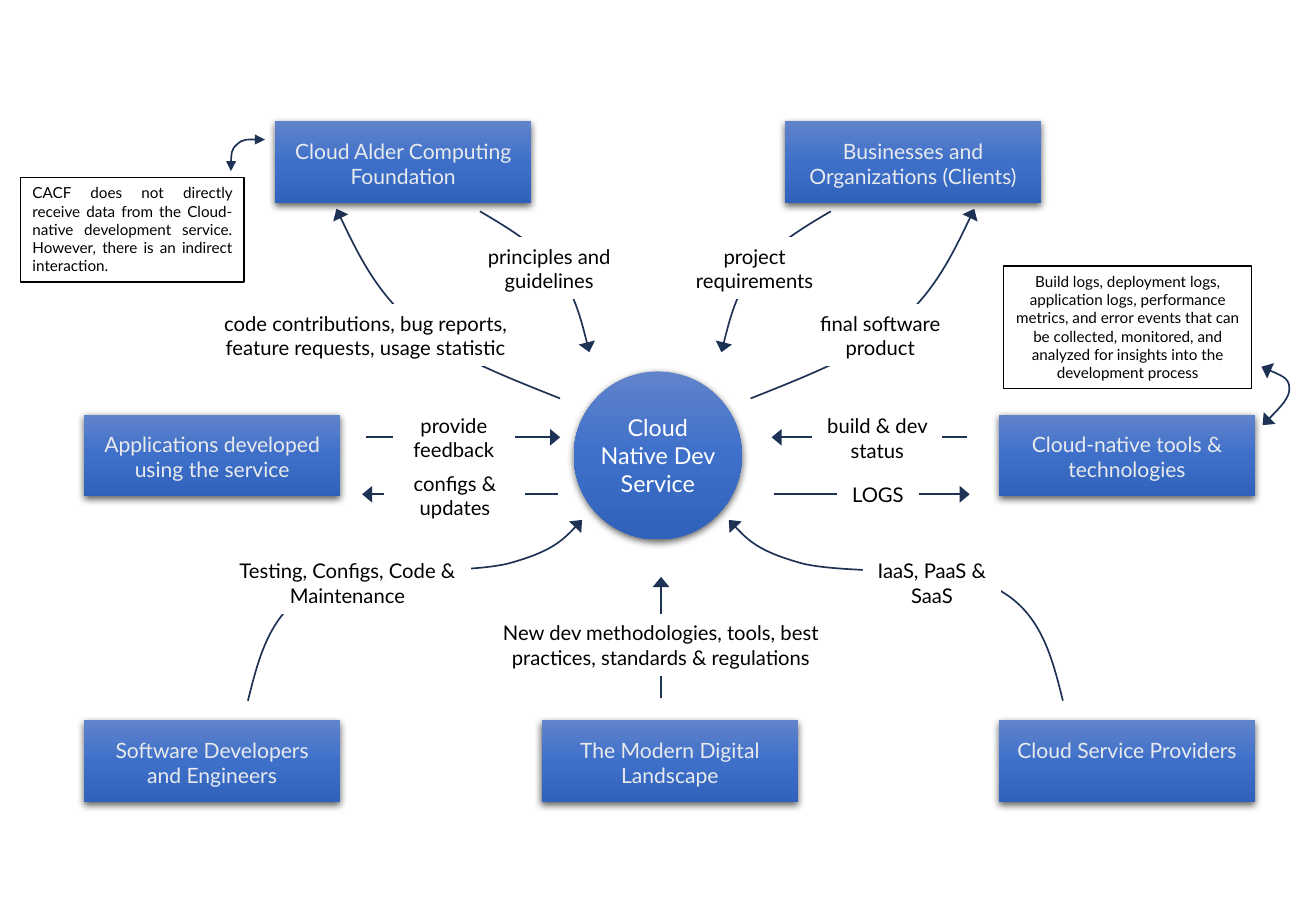
from copy import deepcopy

from lxml import etree
from pptx import Presentation
from pptx.dml.color import RGBColor
from pptx.enum.shapes import MSO_CONNECTOR, MSO_SHAPE
from pptx.enum.text import MSO_ANCHOR, PP_ALIGN
from pptx.oxml.ns import qn
from pptx.util import Pt

RECTANGLE, OVAL = MSO_SHAPE.RECTANGLE, MSO_SHAPE.OVAL
STRAIGHT = MSO_CONNECTOR.STRAIGHT
TOP, MIDDLE = MSO_ANCHOR.TOP, MSO_ANCHOR.MIDDLE
CENTER, JUSTIFY = PP_ALIGN.CENTER, PP_ALIGN.JUSTIFY

FONT = "Lato"
NAVY, BLACK, WHITE, PALE = "1E3256", "000000", "FFFFFF", "E8EAEC"
GRADIENT = ("6183CB", "3E70CA", "3062BB")

SLIDE_WIDTH, SLIDE_HEIGHT = 779.76, 540
MIRROR_SUM = 776.7
ACTOR_WIDTH, ACTOR_HEIGHT = 152, 48.5
LEFT, CENTRE, RIGHT = 49.7, 320.9, 591.8
UPPER, MIDDLE_ROW, LOWER = 72, 245.8, 427
LABEL_HEIGHT = 36

HUB = ("Cloud Native Dev Service", 340, 220.2, 99.6, 99.6)

ACTORS = [
    ("Cloud Alder Computing Foundation", 162.9, UPPER),
    ("Businesses and Organizations (Clients)", 465, UPPER),
    ("Applications developed using the service", LEFT, MIDDLE_ROW),
    ("Cloud-native tools & technologies", RIGHT, MIDDLE_ROW),
    ("Software Developers and Engineers", LEFT, LOWER),
    ("The Modern Digital Landscape", CENTRE, LOWER),
    ("Cloud Service Providers", RIGHT, LOWER),
]

MIRRORED_CURVES = [
    [(331.9, 236.2), (299.5, 223.2), (267.1, 211), (245.5, 192.2),
     (223.2, 173.5), (211, 148.3), (199.4, 123.8)],
    [(284.4, 125.3), (301.7, 135.4), (319, 146.2), (329.8, 159.8),
     (340.6, 174.2), (344.9, 191.5), (349.2, 208.8)],
    [(146.9, 415.4), (153.4, 389.5), (159.8, 362.9), (185.8, 349.2),
     (211.7, 335.5), (274.3, 340.6), (301, 334.1), (327.6, 326.9),
     (336.2, 317.5), (344.9, 308.2)],
]

NOTE_CURVES = [
    ([(136.8, 101.5), (136.8, 95), (136.8, 88.6), (140.4, 85.7),
      (144, 82.1), (150.5, 82.8), (157, 82.8)], "med"),
    ([(747.4, 217.4), (755.3, 221), (763.9, 223.9), (763.9, 229.7),
      (764.6, 235.4), (756.7, 243.4), (748.1, 252)], "lg"),
]

STRAIGHT_ARROWS = [
    (216.7, 259.2, 331.9, 259.2),
    (330.5, 293, 214.6, 293),
    (573.1, 259.2, 457.2, 259.2),
    (458.6, 293, 574.6, 293),
    (391.7, 414, 391.7, 342),
]

LABELS = [
    ("code contributions, bug reports, feature requests, usage statistic", 108, 180.7, 217.4),
    ("principles and guidelines", 259.2, 141.1, 132.5),
    ("final software product", 465.1, 180.7, 113),
    ("project requirements", 401.8, 141.1, 90.7),
    ("provide feedback", 233.3, 241.5, 71.3),
    ("configs & updates", 228.2, 275.8, 82.8),
    ("build & dev status", 481.7, 241.6, 76.3),
    ("LOGS", 496.1, 282.2, 48.2),
    ("New dev methodologies, tools, best practices, standards & regulations", 281.5, 364.3, 220.3),
    ("IaaS, PaaS & SaaS", 511.9, 327.6, 80.6),
    ("Testing, Configs, Code & Maintenance", 133.2, 327.6, 145.4),
]

NOTES = [
    ("CACF does not directly receive data from the Cloud-native development service. "
     "However, there is an indirect interaction.", 12.2, 105.3, 132.5, 61.9, JUSTIFY),
    ("Build logs, deployment logs, application logs, performance metrics, and error events "
     "that can be collected, monitored, and analyzed for insights into the development process",
     594.7, 157.7, 146.9, 72.7, CENTER),
]


def color(value):
    return RGBColor.from_string(value)


def add_box(page, kind, text, left, top, width, height, size, ink,
            align=CENTER, anchor=TOP, insets=(7.2, 3.6)):
    box = page.shapes.add_shape(kind, Pt(left), Pt(top), Pt(width), Pt(height))
    box.shadow.inherit = False
    frame = box.text_frame
    frame.text = text
    frame.word_wrap = True
    frame.vertical_anchor = anchor
    frame.margin_left = frame.margin_right = Pt(insets[0])
    frame.margin_top = frame.margin_bottom = Pt(insets[1])
    para = frame.paragraphs[0]
    para.alignment = align
    font = para.runs[0].font
    font.name, font.size = FONT, Pt(size)
    font.color.rgb = color(ink)
    return box


def outline(box, ink):
    box.line.color.rgb = color(ink)
    box.line.width = Pt(0.75)


def add_gloss(box):
    box.line.fill.background()
    box.fill.gradient()
    box.fill.gradient_angle = 270
    first = box.element.spPr.find(".//" + qn("a:gs"))
    first.addnext(deepcopy(first))
    for stop, position, tint in zip(box.fill.gradient_stops, (0, 0.5, 1), GRADIENT):
        stop.position = position
        stop.color.rgb = color(tint)
    effects = box.element.spPr.find(qn("a:effectLst"))
    shadow = etree.SubElement(effects, qn("a:outerShdw"), blurRad=str(Pt(4.5)),
                              dist=str(Pt(1.5)), dir="5400000", rotWithShape="0")
    shade = etree.SubElement(shadow, qn("a:srgbClr"), val=BLACK)
    etree.SubElement(shade, qn("a:alpha"), val="63000")


def style_arrow(arrow, ends=("tailEnd",), head_width="lg"):
    arrow.line.color.rgb = color(NAVY)
    arrow.line.width = Pt(1)
    properties = arrow.element.spPr
    for end in ends:
        etree.SubElement(properties.find(qn("a:ln")), qn("a:" + end),
                         type="triangle", w=head_width)
    if properties.find(qn("a:effectLst")) is None:
        etree.SubElement(properties, qn("a:effectLst"))


def add_curve(page, points):
    spots = [(Pt(x), Pt(y)) for x, y in points]
    builder = page.shapes.build_freeform(*spots[0])
    builder.add_line_segments(spots[1:], close=False)
    curve = builder.convert_to_shape()
    curve.fill.background()
    curve.shadow.inherit = False
    steps = list(curve.element.iter(qn("a:lnTo")))
    for start in range(0, len(steps), 3):
        bend = etree.Element(qn("a:cubicBezTo"))
        steps[start].addprevious(bend)
        for step in steps[start:start + 3]:
            bend.append(step[0])
            step.getparent().remove(step)
    return curve


def main():
    deck = Presentation()
    deck.slide_width, deck.slide_height = Pt(SLIDE_WIDTH), Pt(SLIDE_HEIGHT)
    page = deck.slides.add_slide(deck.slide_layouts[6])

    add_gloss(add_box(page, OVAL, *HUB, 13.8, WHITE, anchor=MIDDLE, insets=(0, 0)))
    for text, left, top in ACTORS:
        add_gloss(add_box(page, RECTANGLE, text, left, top, ACTOR_WIDTH, ACTOR_HEIGHT,
                          12.5, PALE, insets=(8, 10)))

    for points in MIRRORED_CURVES:
        style_arrow(add_curve(page, points))
        style_arrow(add_curve(page, [(MIRROR_SUM - x, y) for x, y in points]))
    for points, head_width in NOTE_CURVES:
        style_arrow(add_curve(page, points), ("headEnd", "tailEnd"), head_width)
    for ends in STRAIGHT_ARROWS:
        style_arrow(page.shapes.add_connector(STRAIGHT, *(Pt(value) for value in ends)))

    for text, left, top, width in LABELS:
        height = 21.6 if text == "LOGS" else LABEL_HEIGHT
        label = add_box(page, RECTANGLE, text, left, top, width, height, 12, BLACK)
        label.fill.solid()
        label.fill.fore_color.rgb = color(WHITE)
        outline(label, WHITE)
    for text, left, top, width, height, align in NOTES:
        note = add_box(page, RECTANGLE, text, left, top, width, height, 9, BLACK, align)
        note.fill.background()
        outline(note, BLACK)

    deck.save("out.pptx")


if __name__ == "__main__":
    main()
